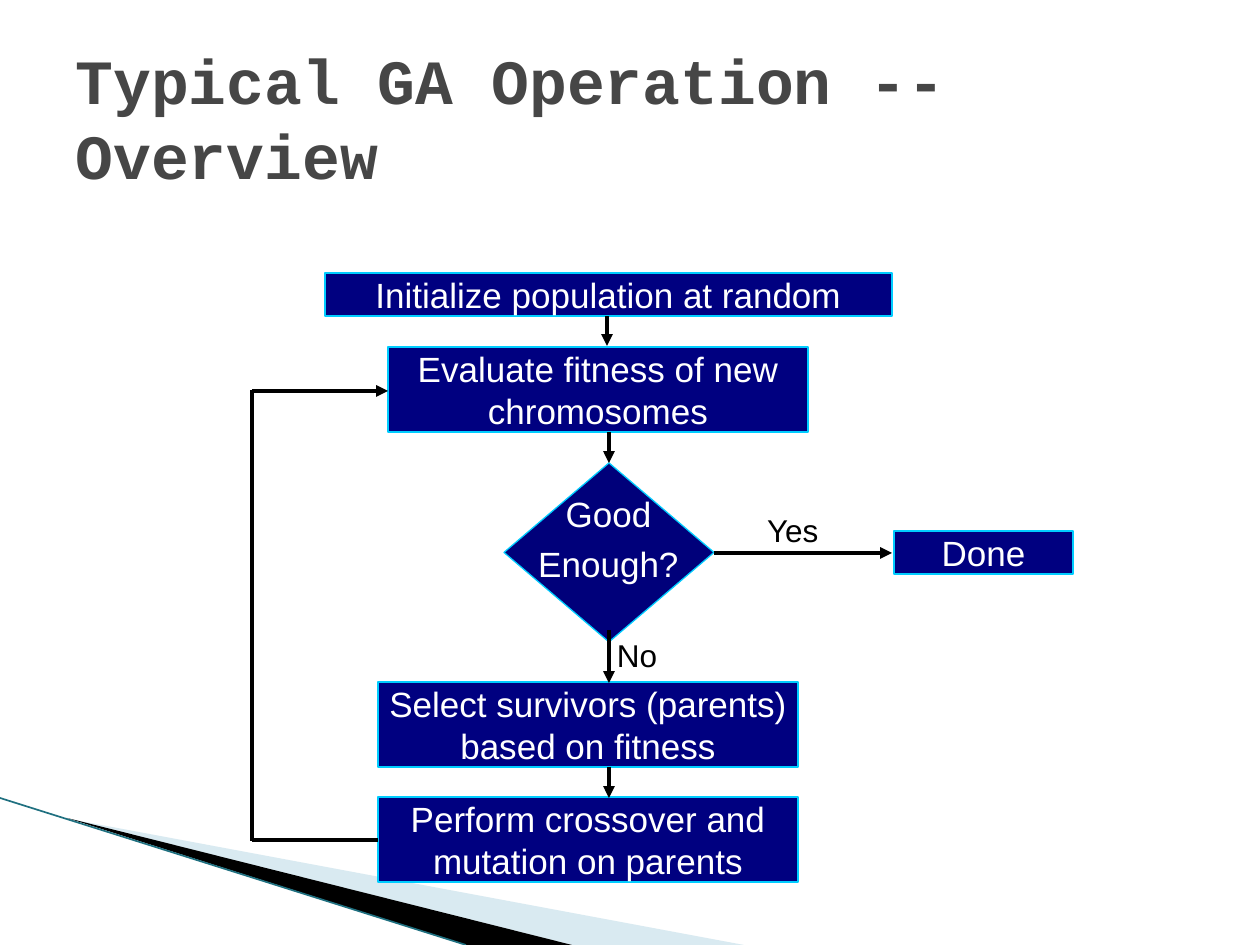
import pptx
import pptx.util
import pptx.dml.color
import pptx.enum.shapes
import pptx.enum.text
import pptx.oxml
import pptx.oxml.ns
import lxml.etree

PX = 914400 // 126
SHAPE = pptx.enum.shapes.MSO_SHAPE
ALIGN = pptx.enum.text.PP_ALIGN
ANCHOR = pptx.enum.text.MSO_ANCHOR
qn = pptx.oxml.ns.qn


def rgb(value):
    return pptx.dml.color.RGBColor.from_string(value)


def write(sp, lines, size, color, align, before=0, inset=0, anchor=ANCHOR.MIDDLE):
    tf = sp.text_frame
    tf.word_wrap = True
    tf.vertical_anchor = anchor
    tf.margin_left = tf.margin_right = inset * PX
    tf.margin_top = tf.margin_bottom = inset // 2 * PX
    tf.text = "\n".join(lines)
    for p in tf.paragraphs:
        p.alignment = align
        p.space_before = pptx.util.Pt(before)
        p.font.size = pptx.util.Pt(size)
        p.font.name = "Arial"
        p.font.color.rgb = rgb(color)


prs = pptx.Presentation()
prs.slide_width, prs.slide_height = 1260 * PX, 945 * PX
s = prs.slides.add_slide(prs.slide_layouts[5])

title = s.shapes.title
title.left, title.top, title.width, title.height = [v * PX for v in (63, 38, 1134, 158)]
title.text_frame.text = "Typical GA Operation -- Overview"
title.text_frame.vertical_anchor = ANCHOR.MIDDLE
p = title.text_frame.paragraphs[0]
p.alignment = ALIGN.LEFT
p.font.size = pptx.util.Pt(36)
p.font.name = "Courier New"
p.font.bold = True
p.font.color.rgb = rgb("464646")

swooshes = [
    ([(69, 819), (744, 945), (572, 945)], "A0CBDC", 40),
    ([(67, 818), (572, 945), (466, 945)], "000000", 100),
]
for points, color, opacity in swooshes:
    builder = s.shapes.build_freeform(*points[0], scale=PX)
    builder.add_line_segments(points[1:], close=True)
    sp = builder.convert_to_shape()
    sp.shadow.inherit = False
    sp.fill.solid()
    sp.fill.fore_color.rgb = rgb(color)
    sp.line.fill.background()
    if opacity < 100:
        clr = sp.fill._xPr.find(".//" + qn("a:srgbClr"))
        lxml.etree.SubElement(clr, qn("a:alpha"), val=str(opacity * 1000))

boxes = [
    (SHAPE.RECTANGLE, 325, 273, 567, 43, "000080", "Initialize population at random"),
    (SHAPE.RECTANGLE, 388, 347, 420, 85, "000080", "Evaluate fitness of new chromosomes"),
    (SHAPE.RECTANGLE, 378, 797, 420, 85, "000080", "Perform crossover and mutation on parents"),
    (SHAPE.RECTANGLE, 378, 682, 420, 85, "000080", "Select survivors (parents) based on fitness"),
    (SHAPE.DIAMOND, 504, 463, 210, 179, "00007A", ""),
    (SHAPE.RECTANGLE, 894, 531, 179, 43, "000080", "Done"),
]
for kind, x, y, w, h, color, text in boxes:
    sp = s.shapes.add_shape(kind, x * PX, y * PX, w * PX, h * PX)
    sp.shadow.inherit = False
    sp.fill.solid()
    sp.fill.fore_color.rgb = rgb(color)
    sp.line.color.rgb = rgb("00CCFF")
    sp.line.width = pptx.util.Pt(0.75)
    if text:
        write(sp, [text], 20, "FFFFFF", ALIGN.CENTER)

labels = [
    (514, 486, 189, 107, ["Good", "Enough?"], 20, "FFFFFF", ALIGN.CENTER, 5),
    (755, 505, 105, 50, ["Yes"], 18, "000000", ALIGN.LEFT, 0),
    (605, 630, 126, 50, ["No"], 18, "000000", ALIGN.LEFT, 0),
]
for x, y, w, h, lines, size, color, align, before in labels:
    sp = s.shapes.add_textbox(x * PX, y * PX, w * PX, h * PX)
    write(sp, lines, size, color, align, before, 12, ANCHOR.TOP)

lines = [
    (0, 798, 466, 945, "1F7080", 0.95, False),
    (714, 553, 892, 553, "000000", 2.25, True),
    (609, 630, 609, 683, "000000", 2.25, True),
    (609, 767, 609, 798, "000000", 2.25, True),
    (378, 840, 252, 840, "000000", 2.25, False),
    (252, 841, 252, 390, "000000", 2.25, False),
    (252, 391, 388, 391, "000000", 2.25, True),
    (609, 432, 609, 463, "000000", 2.25, True),
    (607, 316, 607, 346, "000000", 2.25, True),
]
for x1, y1, x2, y2, color, width, arrow in lines:
    line = s.shapes.add_connector(
        pptx.enum.shapes.MSO_CONNECTOR.STRAIGHT, x1 * PX, y1 * PX, x2 * PX, y2 * PX)
    line.line.color.rgb = rgb(color)
    line.line.width = pptx.util.Pt(width)
    props = line._element.spPr
    if arrow:
        lxml.etree.SubElement(props.find(qn("a:ln")), qn("a:tailEnd"), type="triangle")
    lxml.etree.SubElement(props, qn("a:effectLst"))

prs.save("out.pptx")
